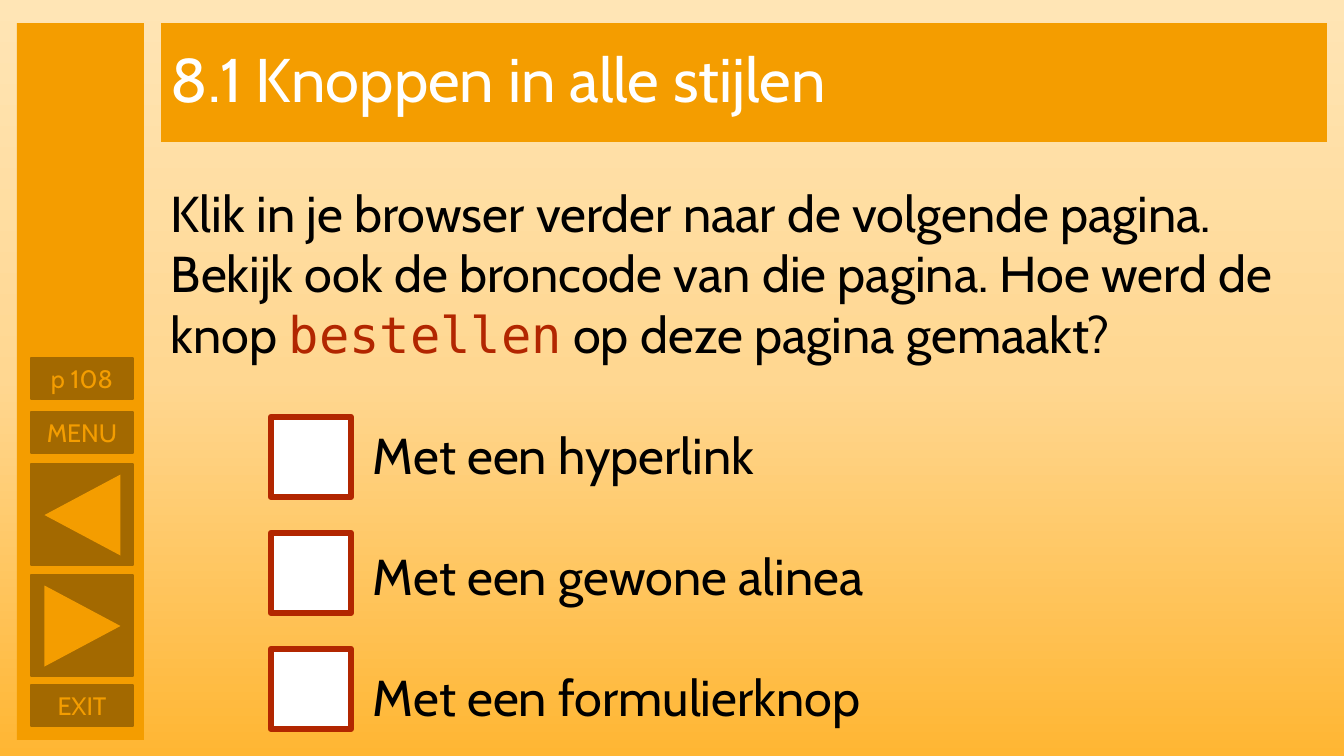
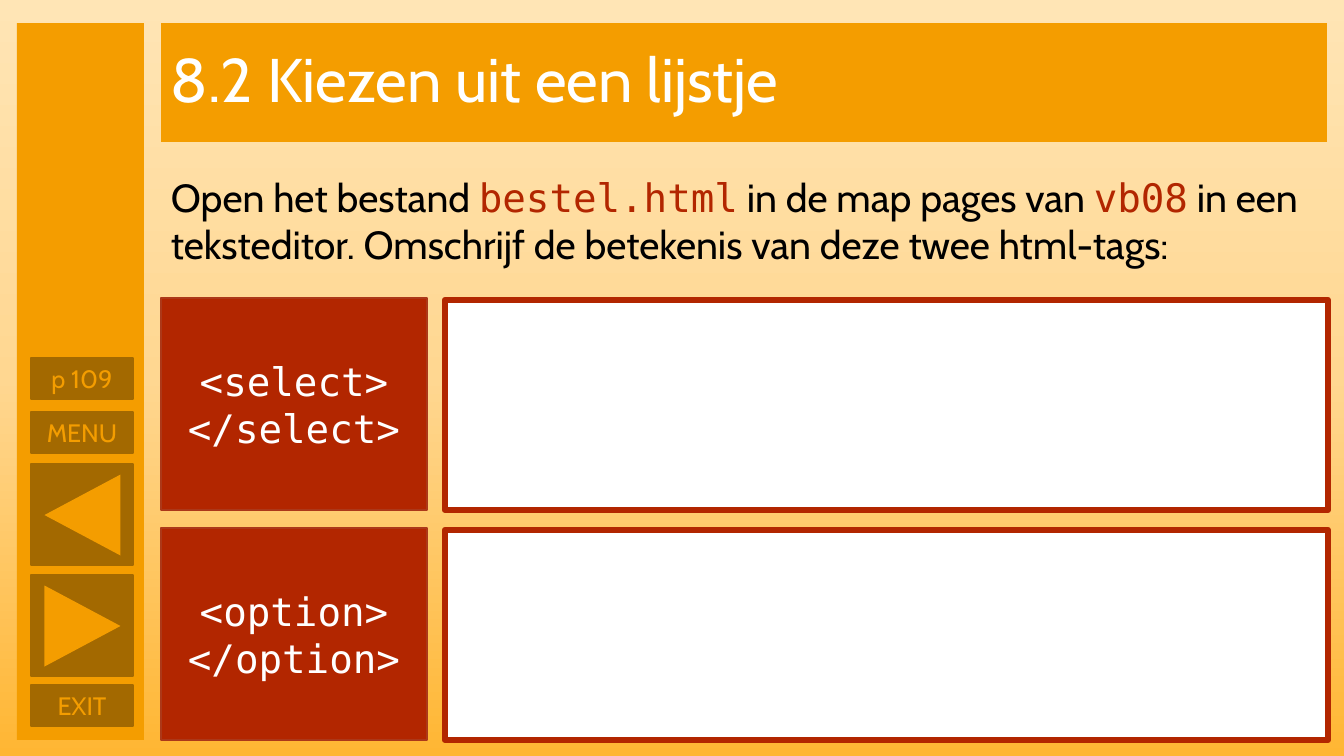
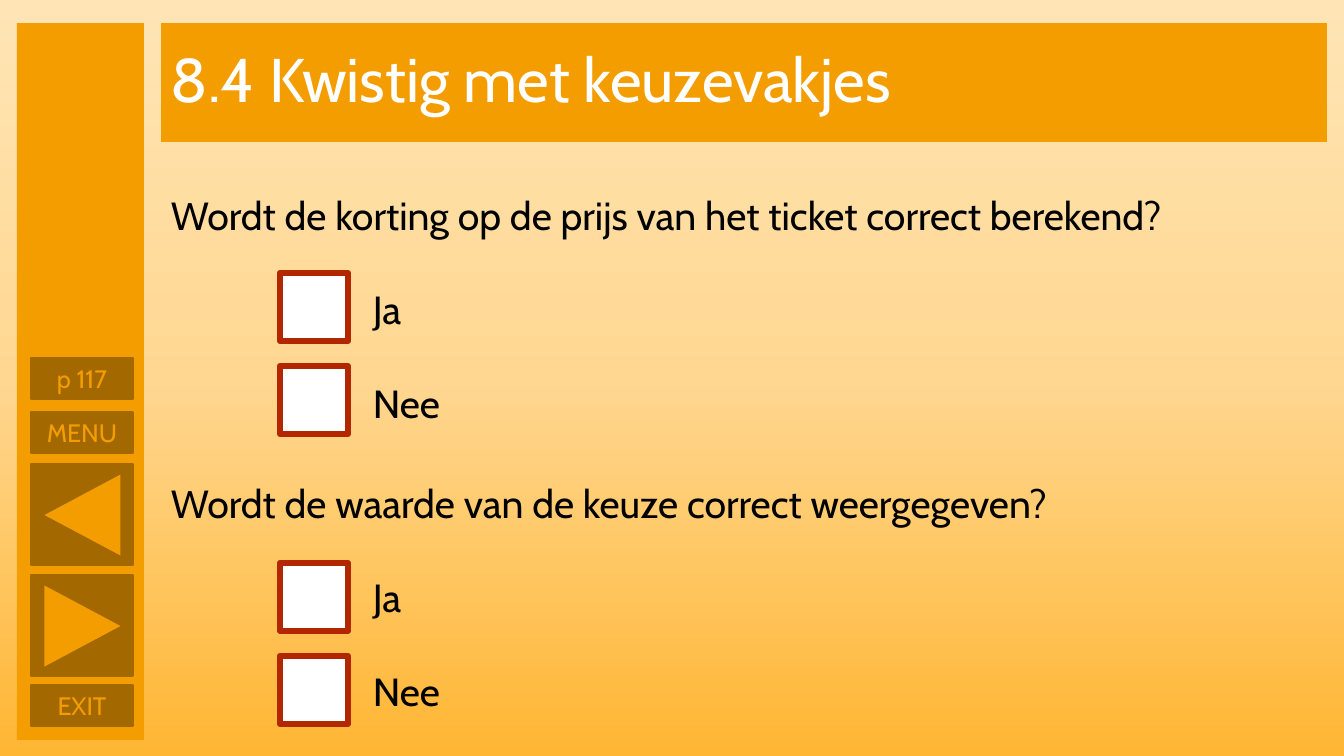
from copy import deepcopy

from pptx import Presentation
from pptx.dml.color import RGBColor
from pptx.enum.shapes import MSO_SHAPE
from pptx.enum.text import MSO_ANCHOR, PP_ALIGN
from pptx.oxml.ns import qn
from pptx.util import Pt

RECT, TRIANGLE = MSO_SHAPE.RECTANGLE, MSO_SHAPE.ISOSCELES_TRIANGLE
CENTER, LEFT = PP_ALIGN.CENTER, PP_ALIGN.LEFT
TOP, MIDDLE = MSO_ANCHOR.TOP, MSO_ANCHOR.MIDDLE

SLIDE_W, SLIDE_H = 12192000, 6858000
PX = SLIDE_W / 1344

ORANGE, BROWN, RED, RED_EDGE = "F49D00", "A36900", "B22600", "AC3819"
WHITE, BLACK = "FFFFFF", "000000"
BACKGROUND = [(0, "FFE5B5"), (0.5, "FFD791"), (1, "FFB633")]
SANS, MONO = "Cabin", "DejaVu Sans Mono"

CONTENT_LEFT, CONTENT_WIDTH = 161, 1166
OPTION_INDENT = 202


def add_box(slide, at, fill, line=None, line_width=1, kind=RECT, rotation=0):
    """Add a preset shape at (left, top, width, height) in px."""
    box = slide.shapes.add_shape(kind, *[round(v * PX) for v in at])
    box.shadow.inherit = False
    box.rotation = rotation
    box.fill.solid()
    box.fill.fore_color.rgb = RGBColor.from_string(fill)
    if line:
        box.line.color.rgb = RGBColor.from_string(line)
        box.line.width = Pt(line_width)
    else:
        box.line.fill.background()
    return box


def write(shape, paragraphs, size, anchor=MIDDLE, **paragraph_format):
    """Fill a shape with paragraphs, each a list of (text, font, colour) runs."""
    frame = shape.text_frame
    frame.word_wrap = True
    frame.vertical_anchor = anchor
    for i, runs in enumerate(paragraphs):
        paragraph = frame.add_paragraph() if i else frame.paragraphs[0]
        for name, value in paragraph_format.items():
            setattr(paragraph, name, value)
        for text, font, color in runs:
            run = paragraph.add_run()
            run.text = text
            for name, value in {"name": font, "size": Pt(size)}.items():
                setattr(run.font, name, value)
            run.font.color.rgb = RGBColor.from_string(color)


prs = Presentation()
prs.slide_width, prs.slide_height = SLIDE_W, SLIDE_H

# Shared background
backdrop = prs.slide_master.background.fill
backdrop.gradient()
backdrop.gradient_angle = 270
stops = prs.slide_master.element.find(".//" + qn("a:gsLst"))
stops.insert(1, deepcopy(stops[0]))
for stop, (position, color) in zip(backdrop.gradient_stops, BACKGROUND):
    stop.position = position
    stop.color.rgb = RGBColor.from_string(color)

# Shared title band and navigation bar
slides = []
for title, page in [
    ("8.1 Knoppen in alle stijlen", "p 108"),
    ("8.2 Kiezen uit een lijstje", "p 109"),
    ("8.4 Kwistig met keuzevakjes", "p 117"),
]:
    slide = prs.slides.add_slide(prs.slide_layouts[6])
    slides.append(slide)
    title_band = add_box(slide, (CONTENT_LEFT, 23, CONTENT_WIDTH, 119), ORANGE)
    write(title_band, [[(title, SANS, WHITE)]], 44, alignment=LEFT, line_spacing=0.9)
    add_box(slide, (17, 23, 127, 717), ORANGE)
    for label, top in [(page, 358), ("MENU", 412), ("EXIT", 685)]:
        button = add_box(slide, (31, top, 102, 41), BROWN, BROWN)
        write(button, [[(label, SANS, ORANGE)]], 18, alignment=CENTER)
    for top, rotation in [(464, 270), (575, 90)]:
        add_box(slide, (31, top, 102, 101), BROWN, BROWN)
        add_box(slide, (42, top + 13, 81, 76), ORANGE, kind=TRIANGLE, rotation=rotation)

buttons_slide, list_slide, checkbox_slide = slides

# Questions: slide, top, height, text size, question runs, options
YES_NO = ["Ja", "Nee"]
for slide, top, height, size, question, options in [
    (buttons_slide, 177, 559, 36, [
        ("Klik in je browser verder naar de volgende pagina. Bekijk ook de "
         "broncode van die pagina. Hoe werd de knop ", SANS, BLACK),
        ("bestellen", MONO, RED),
        (" op deze pagina gemaakt?", SANS, BLACK),
    ], ["Met een hyperlink", "Met een gewone alinea", "Met een formulierknop"]),
    (list_slide, 168, 105, 28, [
        ("Open het bestand ", SANS, BLACK),
        ("bestel.html", MONO, RED),
        (" in de map pages van ", SANS, BLACK),
        ("vb08", MONO, RED),
        (" in een teksteditor. Omschrijf de betekenis van deze twee html-tags:",
         SANS, BLACK),
    ], []),
    (checkbox_slide, 186, 248, 28, [
        ("Wordt de korting op de prijs van het ticket correct berekend?", SANS, BLACK),
    ], YES_NO),
    (checkbox_slide, 474, 248, 28, [
        ("Wordt de waarde van de keuze correct weergegeven?", SANS, BLACK),
    ], YES_NO),
]:
    area = [round(v * PX) for v in (CONTENT_LEFT, top, CONTENT_WIDTH, height)]
    question_text = slide.shapes.add_textbox(*area)
    paragraphs = [question] + [[(option, SANS, BLACK)] for option in options]
    write(question_text, paragraphs, size, anchor=TOP)
    for option in question_text.text_frame.paragraphs[1:]:
        option.space_before = Pt(size * 1.2)
        option._p.get_or_add_pPr().set("marL", str(round(OPTION_INDENT * PX)))

# Checkboxes: slide, left, first top, side, step, count
for slide, left, first_top, side, step, count in [
    (buttons_slide, 271, 417, 80, 116, 3),
    (checkbox_slide, 280, 273, 68, 93, 2),
    (checkbox_slide, 280, 563, 68, 93, 2),
]:
    for i in range(count):
        add_box(slide, (left, first_top + i * step, side, side), WHITE, RED, 4.5)

# Tags with their answer fields
for i, tag in enumerate(["select", "option"]):
    top = 298 + i * 230
    tag_box = add_box(list_slide, (CONTENT_LEFT, top, 266, 212), RED, RED_EDGE)
    lines = [[(f"<{tag}>", MONO, WHITE)], [(f"</{tag}>", MONO, WHITE)]]
    write(tag_box, lines, 28, alignment=CENTER)
    add_box(list_slide, (445, top + 2, 883, 210), WHITE, RED, 4.5)

prs.save("out.pptx")
